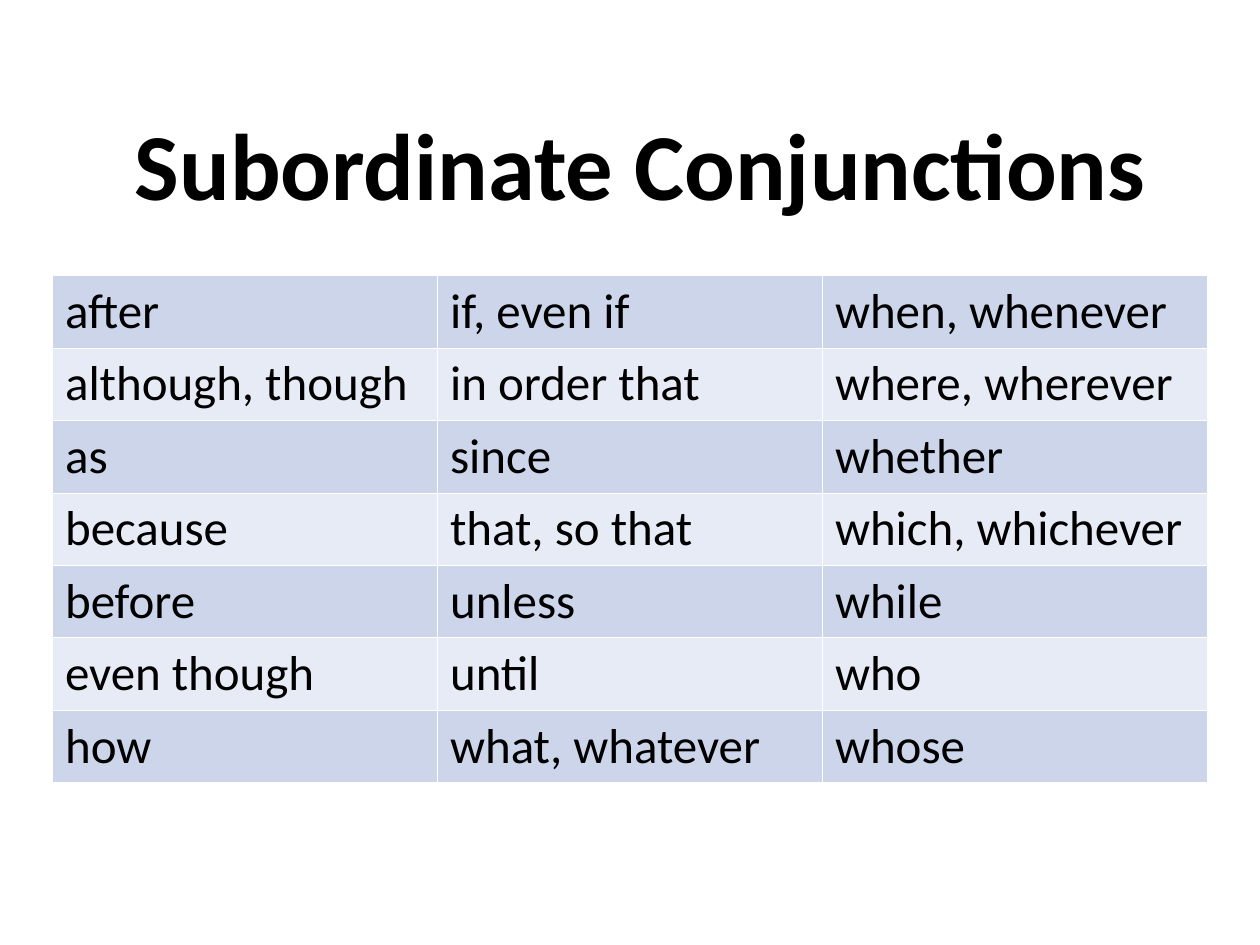
from lxml import etree
from pptx import Presentation
from pptx import util as u
from pptx.dml import color
from pptx.enum import text
from pptx.oxml import ns

HUES = {"ink": "000000", "odd": "CCD5EA", "even": "E7EBF5", "rule": "FFFFFF"}
HEAD = {"name": "Calibri", "size": u.Pt(54), "bold": True}
BODY = {"name": "Calibri", "size": u.Pt(28), "bold": False}

WORDS = [
    ("after", "if, even if", "when, whenever"),
    ("although, though", "in order that", "where, wherever"),
    ("as", "since", "whether"),
    ("because", "that, so that", "which, whichever"),
    ("before", "unless", "while"),
    ("even though", "until", "who"),
    ("how", "what, whatever", "whose"),
]


def rgb(key):
    return color.RGBColor.from_string(HUES[key])


class Page:
    """Holds the style and the current slide."""

    def __init__(self, deck):
        self.slide = deck.slides.add_slide(deck.slide_layouts[6])

    def label(self, para, words, style):
        run = para.add_run()
        run.text = words
        for name, value in style.items():
            setattr(run.font, name, value)
        run.font.color.rgb = rgb("ink")

    def title(self, words, box):
        frame = self.slide.shapes.add_textbox(*map(u.Pt, box)).text_frame
        frame.word_wrap = True
        frame.vertical_anchor = text.MSO_ANCHOR.MIDDLE
        para = frame.paragraphs[0]
        para.alignment = text.PP_ALIGN.CENTER
        self.label(para, words, HEAD)

    def border(self, cell, width):
        props = cell._tc.get_or_add_tcPr()
        for side in ("lnL", "lnR", "lnT", "lnB"):
            line = etree.SubElement(props, ns.qn("a:" + side), w=str(u.Pt(width)))
            fill = etree.SubElement(line, ns.qn("a:solidFill"))
            etree.SubElement(fill, ns.qn("a:srgbClr"), val=HUES["rule"])

    def table(self, rows, left, top, wide, high):
        count, cols = len(rows), len(rows[0])
        size = (left, top, wide * cols, high * count)
        grid = self.slide.shapes.add_table(count, cols, *map(u.Pt, size)).table
        grid.first_row = False
        for col in grid.columns:
            col.width = u.Pt(wide)
        for i, row in enumerate(rows):
            grid.rows[i].height = u.Pt(high)
            for j, words in enumerate(row):
                cell = grid.cell(i, j)
                self.border(cell, 0.45)
                cell.fill.solid()
                cell.fill.fore_color.rgb = rgb("even" if i % 2 else "odd")
                self.label(cell.text_frame.paragraphs[0], words, BODY)


def main():
    deck = Presentation()
    deck.slide_width, deck.slide_height = u.Pt(720), u.Pt(540)
    page = Page(deck)
    # Heading
    page.title("Subordinate Conjunctions", (24, 48, 684, 90))
    # Word list
    page.table(WORDS, 30, 157.5, 220, 41.4)
    deck.save("out.pptx")


if __name__ == "__main__":
    main()
